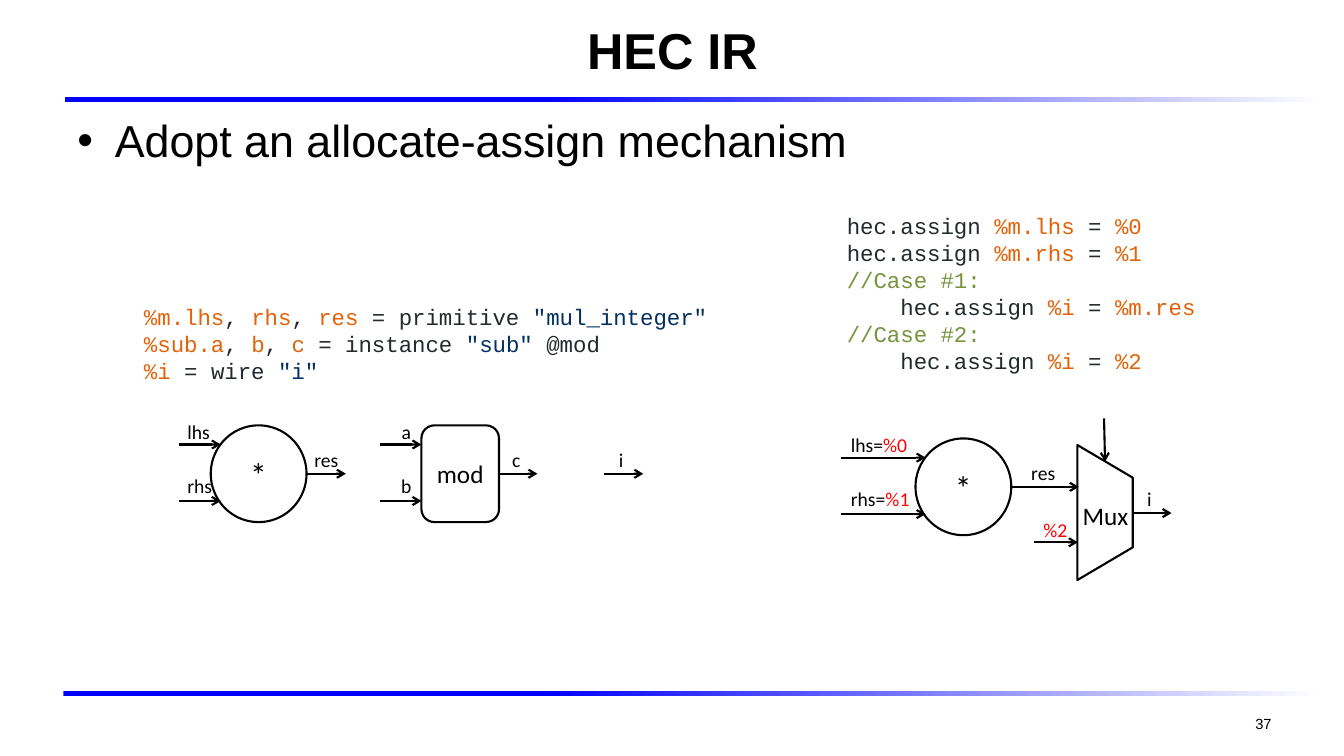
"""Build the HEC IR slide on the allocate-assign mechanism."""
from lxml import etree
from pptx import Presentation
from pptx import util as u
from pptx.dml.color import RGBColor
from pptx.enum import shapes, text
from pptx.oxml.ns import qn

INK, CODE, NAME, STR, NOTE, RED = "000000", "24292E", "E36209", "032F62", "77933C", "FF0000"
BLUE, WHITE = "0000FF", "FFFFFF"
LEFT, MID, RIGHT = text.PP_ALIGN.LEFT, text.PP_ALIGN.CENTER, text.PP_ALIGN.RIGHT
KIND = shapes.MSO_SHAPE

RULES = [(0.64, 0.96), (0.63, 6.86)]
TITLE, POINT, PAGE = "HEC IR", "Adopt an allocate-assign mechanism", "37"
ALLOC = [
    [("%m.lhs", NAME), (", ", CODE), ("rhs", NAME), (", ", CODE), ("res ", NAME),
     ("= primitive ", CODE), ('"mul_integer"', STR)],
    [("%sub.a", NAME), (", ", CODE), ("b", NAME), (", ", CODE), ("c ", NAME),
     ("= instance ", CODE), ('"sub"', STR), (" @mod", CODE)],
    [("%i ", NAME), ("= wire ", CODE), ('"i"', STR)],
]


def assign(dest, value, pad=""):
    return [(pad + "hec.assign ", CODE), (dest + " ", NAME), ("= ", CODE), (value, NAME)]


TAB = "    "
ASSIGN = [
    assign("%m.lhs", "%0"), assign("%m.rhs", "%1"),
    [("//Case #1:", NOTE)], assign("%i", "%m.res", TAB),
    [("//Case #2:", NOTE)], assign("%i", "%2", TAB),
]

BLOCKS = [
    dict(kind=KIND.OVAL, word="*", size=24, x=2.09, y=4.22, w=0.95, start=1.78, inset=0.1,
         reach=0.39, ins=[[("lhs", INK)], [("rhs", INK)]], out="res",
         tag=1.76, wide=0.54, shift=-0.02, align=LEFT),
    dict(kind=KIND.ROUNDED_RECTANGLE, word="mod", size=18, x=4.18, y=4.22, w=0.77, start=3.77,
         inset=0, reach=0.38, ins=[[("a", INK)], [("b", INK)]], out="c",
         tag=3.76, wide=0.54, shift=-0.1, align=MID),
    dict(kind=KIND.OVAL, word="*", size=24, x=9.08, y=4.35, w=0.95, start=8.34, inset=0.1,
         reach=0.67, ins=[[("lhs=", INK), ("%0", RED)], [("rhs=", INK), ("%1", RED)]],
         out="res", tag=8.34, wide=0.95, shift=0.1, align=LEFT),
]
HIGH, PINS = 0.96, [(0.19, -0.1), (0.75, 0.43)]
WIRES = [(5.99, 4.7, 6.38, 4.7), (10.26, 5.38, 10.69, 5.38),
         (11.24, 5.09, 11.62, 5.09), (10.95, 4.15, 10.96, 4.58)]
TAGS = [("i", INK, 6.04, 4.39), ("%2", RED, 10.25, 5.09), ("i", INK, 11.28, 4.78)]

deck = Presentation()
deck.slide_width, deck.slide_height = u.Inches(13.33), u.Inches(7.5)
page = deck.slides.add_slide(deck.slide_layouts[6])


def inch(*vals):
    return [u.Inches(v) for v in vals]


def paint(color, hue):
    color.rgb = RGBColor.from_string(hue)


def write(shape, lines, size, face="Calibri", align=LEFT, anchor="TOP", bold=False):
    frame = shape.text_frame
    look = dict(word_wrap=True, auto_size=text.MSO_AUTO_SIZE.NONE,
                vertical_anchor=getattr(text.MSO_ANCHOR, anchor))
    for key, val in look.items():
        setattr(frame, key, val)
    for num, line in enumerate(lines):
        para = frame.add_paragraph() if num else frame.paragraphs[0]
        para.alignment = align
        for word, hue in line:
            run = para.add_run()
            run.text = word
            for key, val in dict(name=face, size=u.Pt(size), bold=bold).items():
                setattr(run.font, key, val)
            paint(run.font.color, hue)
    return frame


def label(box, lines, size, **look):
    return write(page.shapes.add_textbox(*inch(*box)), lines, size, **look)


def outline(kind, box):
    shape = page.shapes.add_shape(kind, *inch(*box))
    shape.shadow.inherit = False
    shape.fill.background()
    paint(shape.line.color, INK)
    shape.line.width = u.Pt(1.5)
    return shape


def arrow(*ends):
    wire = page.shapes.add_connector(shapes.MSO_CONNECTOR.STRAIGHT, *inch(*ends))
    paint(wire.line.color, INK)
    wire.line.width = u.Pt(1.5)
    props = wire.element.spPr
    etree.SubElement(props.find(qn("a:ln")), qn("a:tailEnd"), type="arrow")
    etree.SubElement(props, qn("a:effectLst"))


def rule(x, y):
    bar = page.shapes.add_shape(KIND.RECTANGLE, *inch(x, y, 12.47, 0.05))
    bar.shadow.inherit = False
    bar.line.fill.background()
    bar.fill.gradient()
    bar.fill.gradient_angle = 0
    for stop, (spot, hue) in zip(bar.fill.gradient_stops, [(0.38, BLUE), (1, WHITE)]):
        stop.position = spot
        paint(stop.color, hue)


def block(kind, word, size, x, y, w, start, inset, reach, ins, out, tag, wide, shift, align):
    body = outline(kind, (x, y, w, HIGH))
    write(body, [[(word, INK)]], size, align=MID, anchor="MIDDLE")
    for (pin, drop), runs in zip(PINS, ins):
        arrow(start, y + pin, x + inset, y + pin)
        label((tag, y + drop, wide, 0.34), [runs], 14, align=align)
    end, mid = x + w, y + HIGH / 2
    arrow(end, mid, end + reach, mid)
    label((end + shift, y + 0.17, 0.54, 0.34), [[(out, INK)]], 14, align=align)


def main():
    for spot in RULES:
        rule(*spot)
    label((0.68, 0.05, 11.98, 0.87), [[(TITLE, INK)]], 36, face="Arial",
          align=MID, anchor="MIDDLE", bold=True)
    point = label((0.67, 1.07, 12, 5.63), [[(POINT, INK)]], 32, face="Arial")
    props = point.paragraphs[0]._p.get_or_add_pPr()
    for key, val in dict(marL=0.37, indent=-0.37).items():
        props.set(key, str(u.Inches(val)))
    etree.SubElement(props, qn("a:buFont"), typeface="Arial")
    etree.SubElement(props, qn("a:buChar"), char="•")
    label((9.6, 6.98, 3.11, 0.4), [[(PAGE, INK)]], 10.5, face="Arial",
          align=RIGHT, anchor="MIDDLE")
    label((1.33, 2.96, 5.93, 0.91), ALLOC, 16, face="Courier New")
    label((8.3, 2.06, 4.09, 1.72), ASSIGN, 16, face="Courier New")
    for part in BLOCKS:
        block(**part)
    mux = outline(KIND.TRAPEZOID, (10.29, 4.81, 1.34, 0.55))
    mux.rotation = 90
    mux.adjustments[0] = 0.59
    label((10.64, 4.91, 0.73, 0.4), [[("Mux", INK)]], 18)
    for ends in WIRES:
        arrow(*ends)
    for word, hue, x, y in TAGS:
        label((x, y, 0.54, 0.34), [[(word, hue)]], 14)
    deck.save("out.pptx")


if __name__ == "__main__":
    main()
